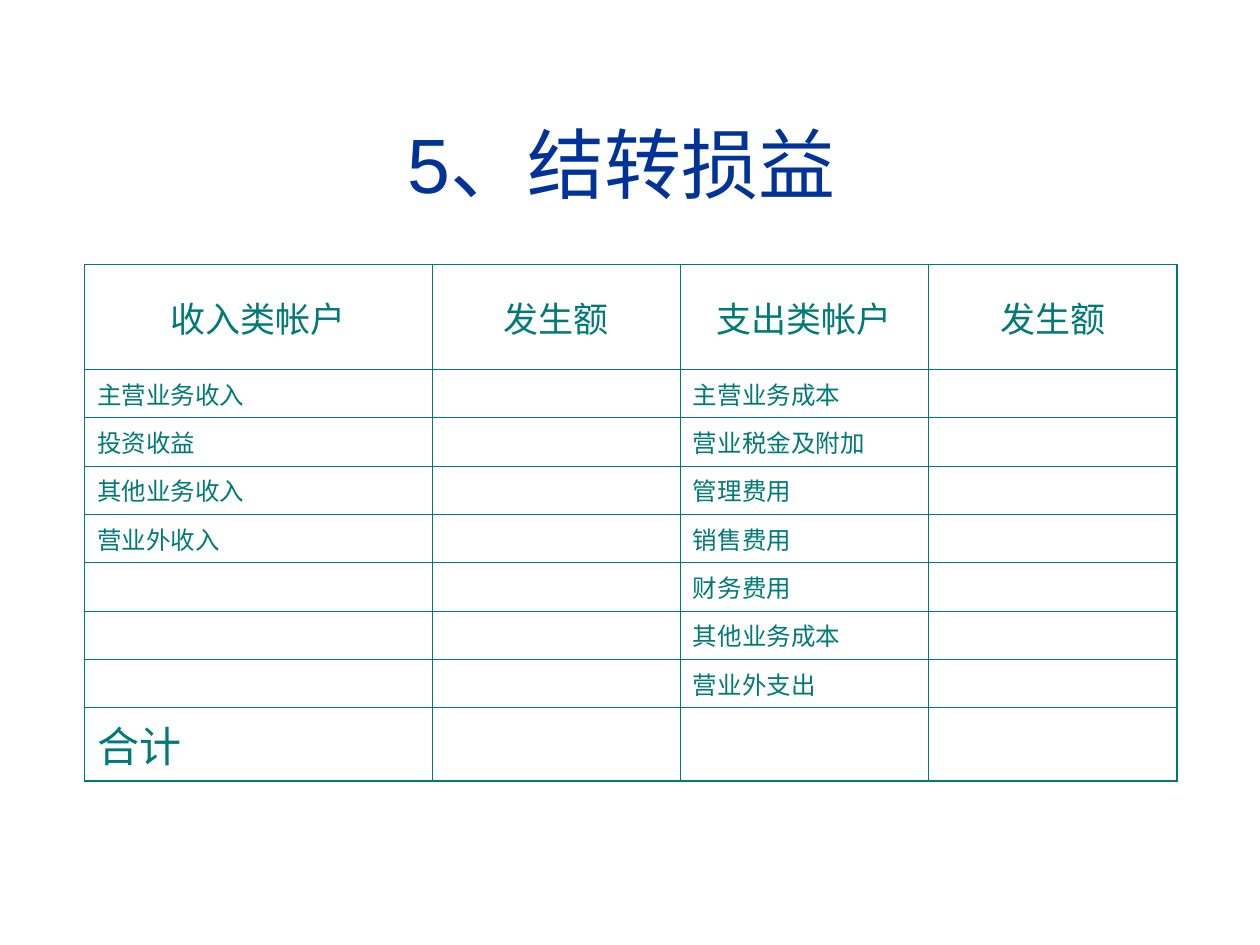
from lxml.etree import SubElement
from pptx import Presentation
from pptx.dml.color import RGBColor
from pptx.enum.text import MSO_ANCHOR, PP_ALIGN
from pptx.oxml.ns import qn
from pptx.util import Inches, Pt

COLORS = {"title": "003399", "table": "007A77"}
FONT = "Arial"
THIN, THICK = Pt(0.45), Pt(1.08)

HEADERS = ["收入类帐户", "发生额", "支出类帐户", "发生额"]
INCOME = ["主营业务收入", "投资收益", "其他业务收入", "营业外收入", "", "", ""]
EXPENSES = ["主营业务成本", "营业税金及附加", "管理费用", "销售费用",
            "财务费用", "其他业务成本", "营业外支出"]
ROWS = [HEADERS,
        *([income, "", expense, ""] for income, expense in zip(INCOME, EXPENSES)),
        ["合计", "", "", ""]]
COLUMN_WIDTHS = [2.76, 1.97, 1.97, 1.97]
ROW_HEIGHTS = [0.83, 0.34, 0.34, 0.38, 0.34, 0.34, 0.34, 0.34, 0.5]


class SlideBuilder:
    def __init__(self, slide):
        self.slide = slide

    def style(self, para, size, color):
        for span in para.runs:
            span.font.name = FONT
            span.font.size = Pt(size)
            span.font.color.rgb = RGBColor.from_string(COLORS[color])

    def title(self, text, left, top, width, height):
        box = self.slide.shapes.title
        box.left, box.top = Inches(left), Inches(top)
        box.width, box.height = Inches(width), Inches(height)
        box.text_frame.text = text
        box.text_frame.vertical_anchor = MSO_ANCHOR.MIDDLE
        para = box.text_frame.paragraphs[0]
        para.alignment = PP_ALIGN.CENTER
        self.style(para, 44, "title")

    def borders(self, cell, widths):
        properties = cell._tc.get_or_add_tcPr()
        for index, (side, width) in enumerate(widths.items()):
            line = SubElement(properties, qn(f"a:{side}"), w=str(width))
            fill = SubElement(line, qn("a:solidFill"))
            SubElement(fill, qn("a:srgbClr"), val=COLORS["table"])
            properties.insert(index, line)

    def cell(self, cell, text, size, header):
        cell.fill.background()
        cell.text_frame.text = text
        para = cell.text_frame.paragraphs[0]
        para.space_before = Pt(size / 4)
        if header:
            cell.vertical_anchor = MSO_ANCHOR.MIDDLE
            para.alignment = PP_ALIGN.CENTER
        self.style(para, size, "table")
        if not text:
            # Keep an empty cell from stretching its row
            SubElement(para._p, qn("a:endParaRPr"), sz=str(size * 100))

    def table(self, rows, left, top, column_widths, row_heights):
        last_row, last_column = len(rows) - 1, len(column_widths) - 1
        table = self.slide.shapes.add_table(
            len(rows), len(column_widths), Inches(left), Inches(top),
            Inches(sum(column_widths)), Inches(sum(row_heights))).table
        table.first_row = table.horz_banding = False
        for column, width in zip(table.columns, column_widths):
            column.width = Inches(width)
        for row, height in zip(table.rows, row_heights):
            row.height = Inches(height)
        for r, row in enumerate(rows):
            size = {0: 20, last_row: 24}.get(r, 14)
            for c, text in enumerate(row):
                cell = table.cell(r, c)
                self.cell(cell, text, size, header=r == 0)
                self.borders(cell, {
                    "lnL": THICK if c == 0 else THIN,
                    "lnR": THICK if c == last_column else THIN,
                    "lnT": THICK if r == 0 else THIN,
                    "lnB": THICK if r == last_row else THIN})


def main():
    deck = Presentation()
    deck.slide_width, deck.slide_height = Inches(10), Inches(7.5)
    page = SlideBuilder(deck.slides.add_slide(deck.slide_layouts[5]))

    # Heading
    page.title("5、结转损益 ", 0.33, 0.67, 9.34, 1.25)

    # Income and expense accounts
    page.table(ROWS, 0.67, 2.1, COLUMN_WIDTHS, ROW_HEIGHTS)

    deck.save("out.pptx")


if __name__ == "__main__":
    main()
